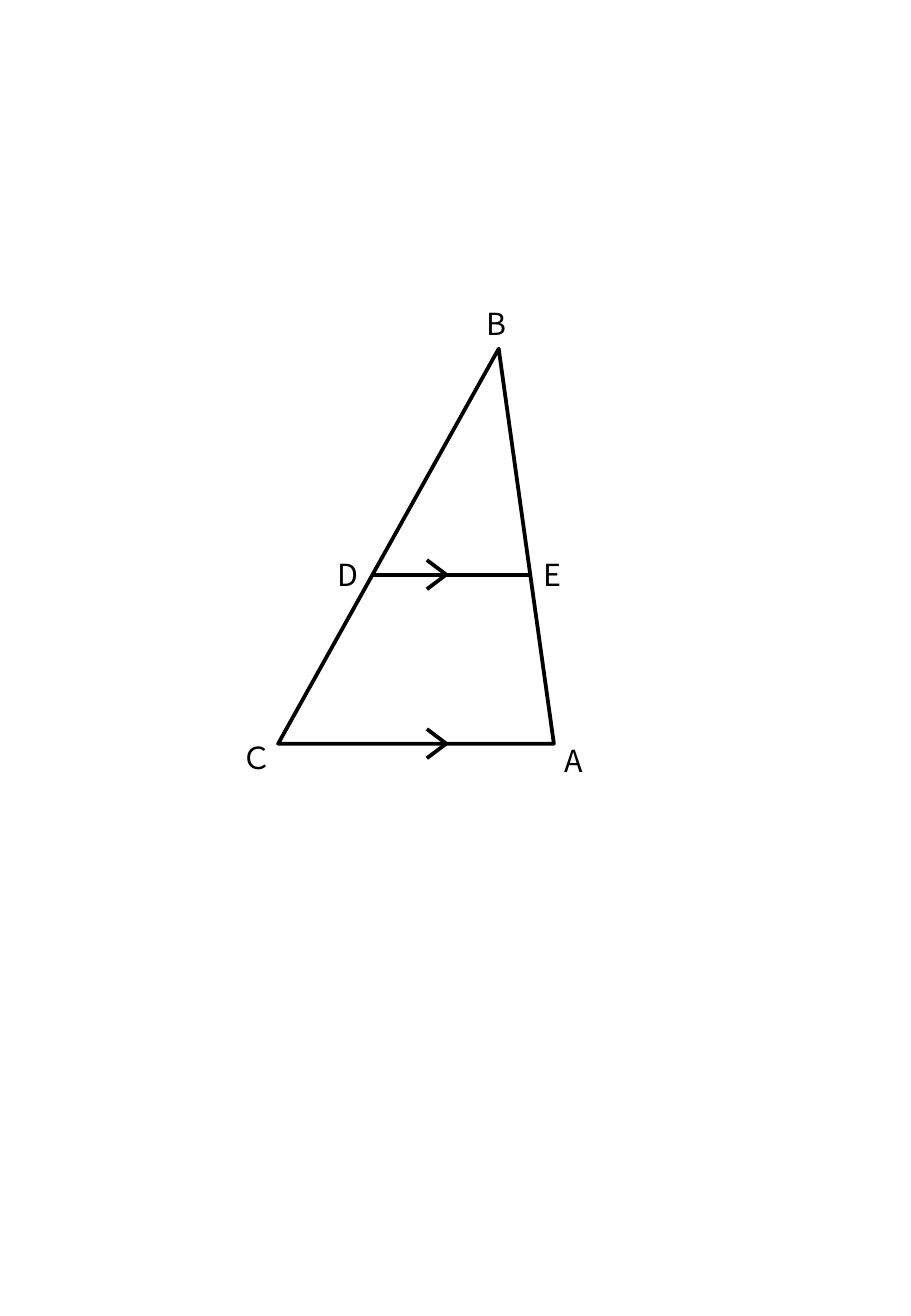
from collections import namedtuple
from dataclasses import dataclass

from lxml.etree import SubElement
from pptx import Presentation
from pptx.dml.color import RGBColor
from pptx.enum.shapes import MSO_CONNECTOR, MSO_SHAPE
from pptx.enum.text import MSO_AUTO_SIZE
from pptx.oxml.ns import qn
from pptx.util import Inches, Pt

Box = namedtuple("Box", "left top width height")
Point = namedtuple("Point", "x y")


@dataclass(frozen=True)
class Theme:
    ink: RGBColor = RGBColor(0, 0, 0)
    paper: RGBColor = RGBColor(255, 255, 255)
    font: str = "Noto Sans CJK JP"
    label_size: Pt = Pt(18)
    line_width: Pt = Pt(2.25)


THEME = Theme()
TRIANGLE_BOX = Box(2.29, 2.87, 2.27, 3.25)
APEX_SHARE = 0.8
PARALLEL_SHARE = 0.572  # BD : BC
MARK_SHARE = 0.61
MARK_WIDTH, MARK_HEIGHT = 0.16, 0.24
LABEL_HEIGHT = 0.4

# Label text by vertex: offset of the label from its vertex, and label width
LABELS = {
    "A": (-0.01, -0.06, 0.63),
    "B": (-0.2, -0.41, 0.33),
    "Ｃ": (-0.4, -0.09, 0.49),
    "D": (-0.39, -0.2, 0.39),
    "E": (0.01, -0.2, 0.36),
}


def find_vertices(box):
    """Return the corners of the triangle and the ends of its parallel DE."""
    bottom = box.top + box.height
    a = Point(box.left + box.width, bottom)
    b = Point(box.left + APEX_SHARE * box.width, box.top)
    c = Point(box.left, bottom)

    def divide(corner):
        return Point(b.x + PARALLEL_SHARE * (corner.x - b.x),
                     b.y + PARALLEL_SHARE * (corner.y - b.y))

    return {"A": a, "B": b, "Ｃ": c, "D": divide(c), "E": divide(a)}


def style_line(line):
    line.color.rgb = THEME.ink
    line.width = THEME.line_width


def add_triangle(slide, box):
    triangle = slide.shapes.add_shape(
        MSO_SHAPE.ISOSCELES_TRIANGLE, *map(Inches, box))
    triangle.adjustments[0] = APEX_SHARE
    triangle.shadow.inherit = False
    triangle.fill.solid()
    triangle.fill.fore_color.rgb = THEME.paper
    style_line(triangle.line)


def add_segment(slide, start, end):
    segment = slide.shapes.add_connector(
        MSO_CONNECTOR.STRAIGHT, *map(Inches, (*start, *end)))
    SubElement(segment.element.spPr, qn("a:effectLst"))
    style_line(segment.line)


def add_parallel_mark(slide, tip):
    """Draw an open chevron pointing right at tip."""
    back = Inches(tip.x - MARK_WIDTH)
    upper = Inches(tip.y - MARK_HEIGHT / 2)
    lower = Inches(tip.y + MARK_HEIGHT / 2)
    builder = slide.shapes.build_freeform(back, upper)
    builder.add_line_segments(
        [(Inches(tip.x), Inches(tip.y)), (back, lower)], close=False)
    mark = builder.convert_to_shape()
    mark.shadow.inherit = False
    mark.fill.background()
    style_line(mark.line)


def add_label(slide, text, vertex):
    offset_x, offset_y, width = LABELS[text]
    box = Box(vertex.x + offset_x, vertex.y + offset_y, width, LABEL_HEIGHT)
    frame = slide.shapes.add_textbox(*map(Inches, box)).text_frame
    frame.word_wrap = True
    frame.auto_size = MSO_AUTO_SIZE.SHAPE_TO_FIT_TEXT
    paragraph = frame.paragraphs[0]
    run = paragraph.add_run()
    run.text = text
    run.font.name = THEME.font
    run.font.size = THEME.label_size
    run.font.color.rgb = THEME.ink
    # The full-width letter takes the East Asian font
    SubElement(run.font._element, qn("a:ea"), typeface=THEME.font)


def add_figure(slide, box):
    vertices = find_vertices(box)
    add_triangle(slide, box)
    add_segment(slide, vertices["D"], vertices["E"])
    for text, vertex in vertices.items():
        add_label(slide, text, vertex)
    for level in ("D", "Ｃ"):
        tip = Point(box.left + MARK_SHARE * box.width, vertices[level].y)
        add_parallel_mark(slide, tip)


def main():
    presentation = Presentation()
    presentation.slide_width = Inches(7.5)
    presentation.slide_height = Inches(10.83)
    slide = presentation.slides.add_slide(presentation.slide_layouts[6])
    add_figure(slide, TRIANGLE_BOX)
    presentation.save("out.pptx")


if __name__ == "__main__":
    main()
